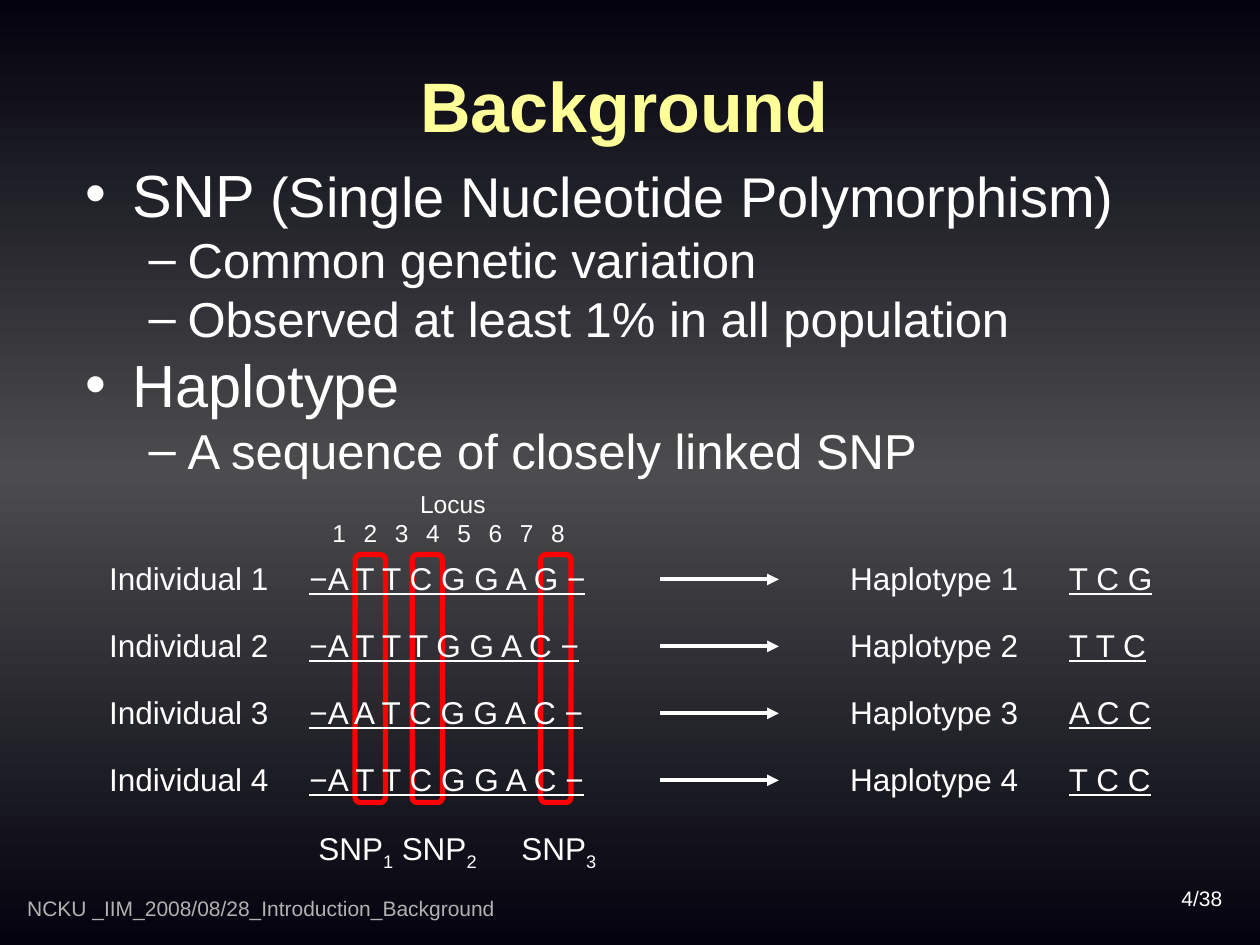
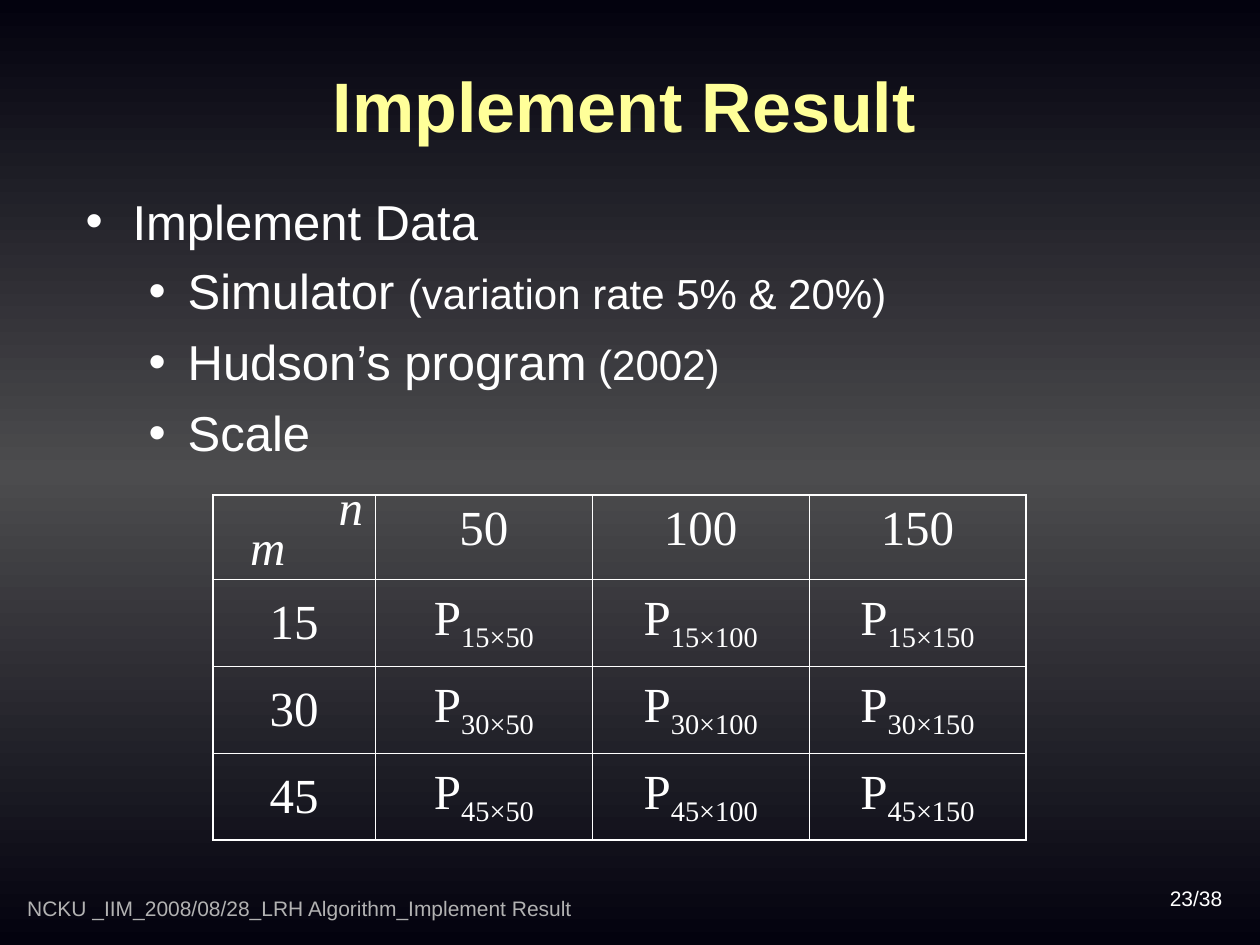
"""Build two dark lecture slides on SNP haplotypes and the sizes of the test data."""
from copy import deepcopy
from dataclasses import dataclass

from lxml.etree import SubElement
from pptx import Presentation
from pptx.dml.color import RGBColor
from pptx.enum.shapes import MSO_CONNECTOR, MSO_SHAPE
from pptx.enum.text import MSO_ANCHOR, MSO_AUTO_SIZE, PP_ALIGN
from pptx.oxml.ns import qn
from pptx.util import Cm, Pt


@dataclass(frozen=True)
class Theme:
    edge: str = "03020E"
    middle: str = "4C4C4E"
    text: str = "FFFFFF"
    title: str = "FFFF99"
    footer: str = "B2B2B2"
    marker: str = "FF0000"
    sans: str = "Arial"
    serif: str = "Times New Roman"
    title_size: int = 40
    topic_size: int = 34
    topic_note_size: int = 32
    list_size: int = 28
    note_size: int = 24
    label_size: int = 18
    locus_size: int = 14
    footer_size: int = 12
    outer_border: float = 1.08
    inner_border: float = 0.45


theme = Theme()


def add_run(paragraph, text, size, color=theme.text, font=theme.sans,
            bold=False, italic=False, underline=False, subscript=False):
    run = paragraph.add_run()
    run.text = text
    run.font.size = Pt(size)
    run.font.name = font
    run.font.color.rgb = RGBColor.from_string(color)
    run.font.bold = bold
    run.font.italic = italic
    run.font.underline = underline
    if subscript:
        run._r.get_or_add_rPr().set("baseline", "-25000")


def add_text_box(slide, left, top, width, height):
    shape = slide.shapes.add_textbox(Cm(left), Cm(top), Cm(width), Cm(height))
    shape.text_frame.word_wrap = True
    return shape.text_frame


presentation = Presentation()
presentation.slide_width = Cm(25.4)
presentation.slide_height = Cm(19.05)

master = presentation.slide_master
background = master.background.fill
background.gradient()
background.gradient_angle = 270
stop_list = master.element.find(".//" + qn("a:gsLst"))
stop_list.append(deepcopy(stop_list[0]))
stop_colors = (theme.edge, theme.middle, theme.edge)
for index, (stop, color) in enumerate(zip(background.gradient_stops, stop_colors)):
    stop.position = index / 2
    stop.color.rgb = RGBColor.from_string(color)

topic, note, item = theme.topic_size, theme.note_size, theme.list_size
slide_contents = [
    {
        "title": "Background",
        "number": "4/38",
        "footer": "NCKU _IIM_2008/08/28_Introduction_Background",
        "body": (1.47, 3.33, 22.23, 13.89),
        "line_spacing": 0.8,
        "list": [
            (0, "•", 0, [("SNP ", topic),
                         ("(Single Nucleotide Polymorphism)", theme.topic_note_size)]),
            (1, "–", 7, [("Common genetic variation", item)]),
            (1, "–", 7, [("Observed at least 1% in all population", item)]),
            (0, "•", 8.5, [("Haplotype", topic)]),
            (1, "–", 7, [("A sequence of closely linked SNP", item)]),
        ],
    },
    {
        "title": "Implement Result",
        "number": "23/38",
        "footer": "NCKU _IIM_2008/08/28_LRH Algorithm_Implement Result",
        "body": (1.47, 3.73, 21.82, 12.7),
        "line_spacing": 1.0,
        "list": [
            (0, "•", 0, [("Implement Data", item)]),
            (1, "•", 6, [("Simulator ", item), ("(variation rate 5% & 20%)", note)]),
            (1, "•", 7, [("Hudson’s program", item), (" (2002)", note)]),
            (1, "•", 7, [("Scale", item)]),
        ],
    },
]
list_indents = [(0.95, -0.95), (2.06, -0.79)]

slides = []
for content in slide_contents:
    slide = presentation.slides.add_slide(presentation.slide_layouts[1])
    slides.append(slide)

    title, body = slide.placeholders
    places = [(1.47, 0.3, 22.23, 3.63), content["body"]]
    for placeholder, place in zip((title, body), places):
        placeholder.left, placeholder.top, placeholder.width, placeholder.height = map(Cm, place)
        placeholder.text_frame.auto_size = MSO_AUTO_SIZE.NONE

    title.text_frame.vertical_anchor = MSO_ANCHOR.MIDDLE
    paragraph = title.text_frame.paragraphs[0]
    paragraph.alignment = PP_ALIGN.CENTER
    add_run(paragraph, content["title"], theme.title_size, theme.title, bold=True)

    body.text_frame.vertical_anchor = MSO_ANCHOR.TOP
    for index, (level, bullet, space_before, runs) in enumerate(content["list"]):
        paragraph = body.text_frame.add_paragraph() if index else body.text_frame.paragraphs[0]
        paragraph.level = level
        properties = paragraph._p.get_or_add_pPr()
        margin, indent = list_indents[level]
        properties.set("marL", str(Cm(margin)))
        properties.set("indent", str(Cm(indent)))
        bullet_color = SubElement(properties, qn("a:buClr"))
        SubElement(bullet_color, qn("a:srgbClr"), val=theme.text)
        SubElement(properties, qn("a:buChar"), char=bullet)
        paragraph.line_spacing = content["line_spacing"]
        paragraph.space_before = Pt(space_before)
        for text, size in runs:
            add_run(paragraph, text, size)

    paragraph = add_text_box(slide, 19.61, 17.73, 5.28, 0.79).paragraphs[0]
    paragraph.alignment = PP_ALIGN.RIGHT
    add_run(paragraph, content["number"], theme.footer_size)
    paragraph = add_text_box(slide, 0.3, 17.93, 22.2, 0.76).paragraphs[0]
    add_run(paragraph, content["footer"], theme.footer_size, theme.footer)

background_slide, result_slide = slides

locus_frame = add_text_box(background_slide, 6.45, 9.73, 5.36, 1.63)
paragraph = locus_frame.paragraphs[0]
paragraph.alignment = PP_ALIGN.CENTER
add_run(paragraph, "Locus", theme.locus_size)
paragraph = locus_frame.add_paragraph()
tab_list = SubElement(paragraph._p.get_or_add_pPr(), qn("a:tabLst"))
for position in range(1, 8):
    SubElement(tab_list, qn("a:tab"), pos=str(Cm(0.63 * position)), algn="l")
add_run(paragraph, "\t".join(str(locus) for locus in range(1, 9)), theme.locus_size)

snp_columns = [(7.16, 6.17), (8.31, 7.85), (10.9, 10.26)]
for number, (marker_left, label_left) in enumerate(snp_columns, start=1):
    marker = background_slide.shapes.add_shape(
        MSO_SHAPE.FLOWCHART_ALTERNATE_PROCESS, Cm(marker_left), Cm(11.18), Cm(0.61), Cm(5))
    marker.shadow.inherit = False
    marker.fill.background()
    marker.line.color.rgb = RGBColor.from_string(theme.marker)
    marker.line.width = Pt(3)
    paragraph = add_text_box(background_slide, label_left, 16.59, 2.1, 1.12).paragraphs[0]
    add_run(paragraph, "SNP", theme.label_size)
    add_run(paragraph, str(number), theme.label_size, subscript=True)

individuals = [
    ("−A T T C G G A G −", "T C G"),
    ("−A T T T G G A C −", "T T C"),
    ("−A A T C G G A C −", "A C C"),
    ("−A T T C G G A C −", "T C C"),
]
for index, (sequence, haplotype) in enumerate(individuals):
    top = 11.15 + 1.35 * index
    row_labels = [
        (f"Individual {index + 1}", 1.95, 3.8, False),
        (sequence, 5.99, 6.25, True),
        (f"Haplotype {index + 1}", 16.89, 4, False),
        (haplotype, 21.3, 2.3, True),
    ]
    for text, left, width, underline in row_labels:
        paragraph = add_text_box(background_slide, left, top, width, 1.02).paragraphs[0]
        add_run(paragraph, text, theme.label_size, underline=underline)
    arrow = background_slide.shapes.add_connector(
        MSO_CONNECTOR.STRAIGHT, Cm(13.31), Cm(top + 0.53), Cm(15.7), Cm(top + 0.53))
    arrow.line.color.rgb = RGBColor.from_string(theme.text)
    arrow.line.width = Pt(2.25)
    SubElement(arrow.element.find(".//" + qn("a:ln")), qn("a:tailEnd"), type="triangle")
    SubElement(arrow.element.spPr, qn("a:effectLst"))

column_sizes = [50, 100, 150]
row_sizes = [15, 30, 45]
table = result_slide.shapes.add_table(4, 4, Cm(4.29), Cm(9.98), Cm(16.39), Cm(6.95)).table
table.first_row = False
table.horz_banding = False
for index in range(4):
    table.columns[index].width = Cm(4.37 if index else 3.28)
    table.rows[index].height = Cm(1.75 if index else 1.7)

for row in range(4):
    for column in range(4):
        cell = table.cell(row, column)
        cell.vertical_anchor = MSO_ANCHOR.MIDDLE
        properties = cell._tc.get_or_add_tcPr()
        outer_sides = {"a:lnL": column == 0, "a:lnR": column == 3,
                       "a:lnT": row == 0, "a:lnB": row == 3}
        for side, is_outer in outer_sides.items():
            width = theme.outer_border if is_outer else theme.inner_border
            border = SubElement(properties, qn(side), w=str(Pt(width)))
            SubElement(SubElement(border, qn("a:solidFill")), qn("a:srgbClr"), val=theme.text)
        cell.fill.background()

        paragraph = cell.text_frame.paragraphs[0]
        paragraph.alignment = PP_ALIGN.CENTER
        paragraph.line_spacing = 1.0 if row else 0.5
        if row and column:
            add_run(paragraph, "P", item, font=theme.serif)
            add_run(paragraph, f"{row_sizes[row - 1]}×{column_sizes[column - 1]}", item,
                    font=theme.serif, subscript=True)
        elif row:
            add_run(paragraph, str(row_sizes[row - 1]), item, font=theme.serif)
        elif column:
            add_run(paragraph, str(column_sizes[column - 1]), item, font=theme.serif)
        else:
            paragraph.alignment = PP_ALIGN.RIGHT
            add_run(paragraph, "n", item, font=theme.serif, italic=True)
            paragraph = cell.text_frame.add_paragraph()
            paragraph._p.get_or_add_pPr().set("marL", str(Cm(0.5)))
            paragraph.line_spacing = 0.5
            paragraph.space_before = Pt(7)
            add_run(paragraph, "m", item, font=theme.serif, italic=True)

presentation.save("out.pptx")
